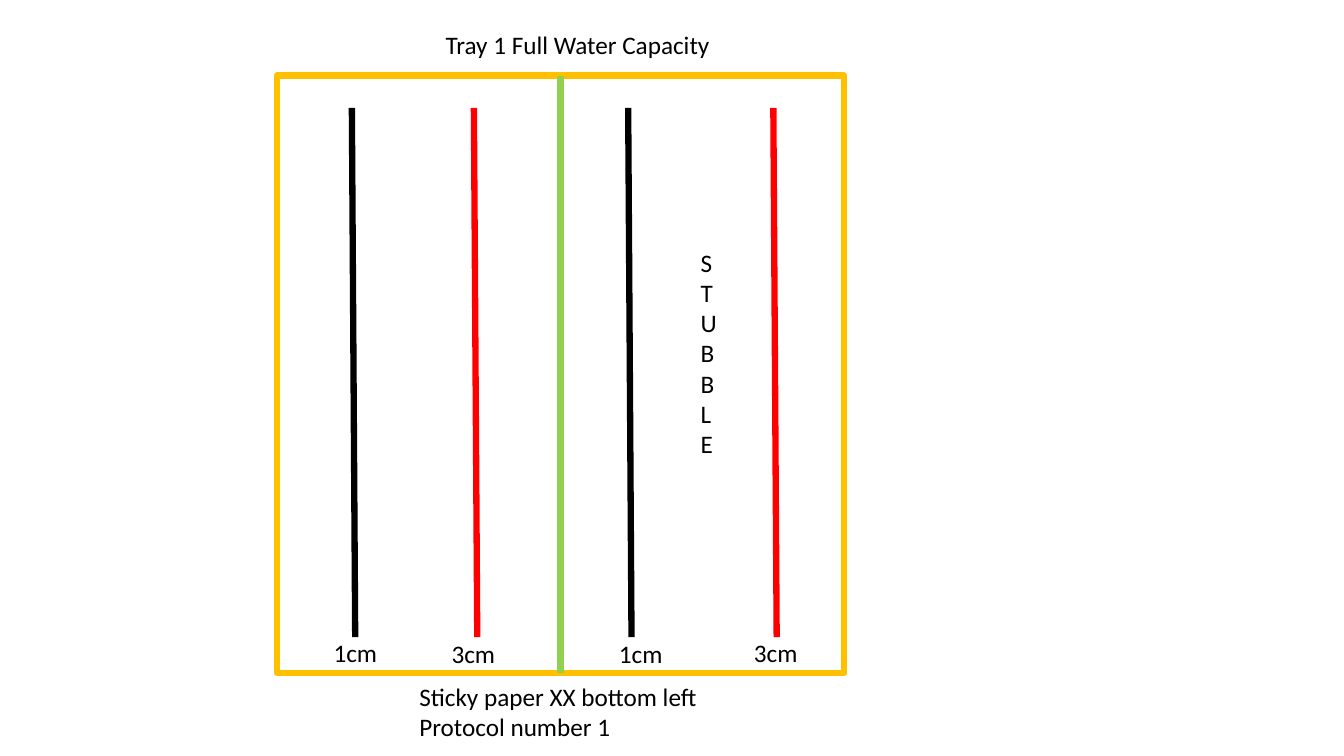
import pptx
import pptx.util
import pptx.dml.color
import pptx.enum.shapes
import pptx.enum.text
import pptx.oxml.ns
import lxml.etree


def rgb(value):
    return pptx.dml.color.RGBColor.from_string(value)


class Diagram:
    """Style and current slide; lengths are percentages of the slide's size."""
    font, size, ink, stroke = "Calibri", 18, "000000", 4.5

    def __init__(self, prs):
        self.prs = prs
        self.s = prs.slides.add_slide(prs.slide_layouts[5])  # Title Only

    def x(self, share):
        return round(self.prs.slide_width * share / 100)

    def y(self, share):
        return round(self.prs.slide_height * share / 100)

    def box(self, left, top, width, height):
        return self.x(left), self.y(top), self.x(width), self.y(height)

    def outline(self, shape, color):
        shape.line.color.rgb = rgb(color)
        shape.line.width = pptx.util.Pt(self.stroke)

    def rect(self, at, fill, line):
        sp = self.s.shapes.add_shape(
            pptx.enum.shapes.MSO_SHAPE.RECTANGLE, *self.box(*at))
        sp.shadow.inherit = False
        sp.fill.solid()
        sp.fill.fore_color.rgb = rgb(fill)
        self.outline(sp, line)

    def line(self, x1, y1, x2, y2, color):
        cx = self.s.shapes.add_connector(
            pptx.enum.shapes.MSO_CONNECTOR.STRAIGHT,
            self.x(x1), self.y(y1), self.x(x2), self.y(y2))
        self.outline(cx, color)
        lxml.etree.SubElement(cx._element.spPr, pptx.oxml.ns.qn("a:effectLst"))

    def set_lines(self, sp, lines, wrap=True):
        tf = sp.text_frame
        tf.word_wrap = wrap
        tf.auto_size = pptx.enum.text.MSO_AUTO_SIZE.SHAPE_TO_FIT_TEXT
        tf.vertical_anchor = pptx.enum.text.MSO_ANCHOR.TOP
        for i, line in enumerate(lines):
            p = tf.add_paragraph() if i else tf.paragraphs[0]
            p.alignment = pptx.enum.text.PP_ALIGN.LEFT
            r = p.add_run()
            r.text = line
            r.font.name = self.font
            r.font.size = pptx.util.Pt(self.size)
            r.font.color.rgb = rgb(self.ink)

    def title(self, at, text):
        sp = self.s.shapes.title
        sp.left, sp.top, sp.width, sp.height = self.box(*at)
        self.set_lines(sp, [text])

    def text(self, at, *lines, wrap=True):
        self.set_lines(self.s.shapes.add_textbox(*self.box(*at)), lines, wrap)


prs = pptx.Presentation()
prs.slide_width = pptx.util.Inches(13.33)
prs.slide_height = pptx.util.Inches(7.5)
d = Diagram(prs)

# Tray with its divider in the middle
LEFT, TOP, WIDTH, HEIGHT = tray = 20.63, 10, 42.16, 79.07
d.title((32.41, 3.2, 21.6, 5.33), "Tray 1 Full Water Capacity")
d.rect(tray, "FFFFFF", "FFC000")
middle = LEFT + WIDTH / 2
d.line(middle, TOP, middle, TOP + HEIGHT, "92D050")

# Slightly leaning rows, each with its depth below
DEPTHS = {"1cm": "000000", "3cm": "FF0000"}
LEAN = 0.25
for row_x, label_x, label_y, depth in (
        (26.18, 24.08, 83.6, "1cm"), (35.26, 32.86, 83.73, "3cm"),
        (46.74, 45.31, 83.73, "1cm"), (57.54, 55.36, 83.6, "3cm")):
    d.line(row_x, 14.27, row_x + LEAN, 84.27, DEPTHS[depth])
    d.text((label_x, label_y, 5.03, 5.33), depth)

# Narrow box that wraps to one letter a line
d.text((51.39, 32, 2.03, 29.6), "STUBBLE")

# Caption under the tray
d.text((30.46, 89.47, 22.5, 9.47),
       "Sticky paper XX bottom left", "Protocol number 1", wrap=False)

prs.save("out.pptx")
